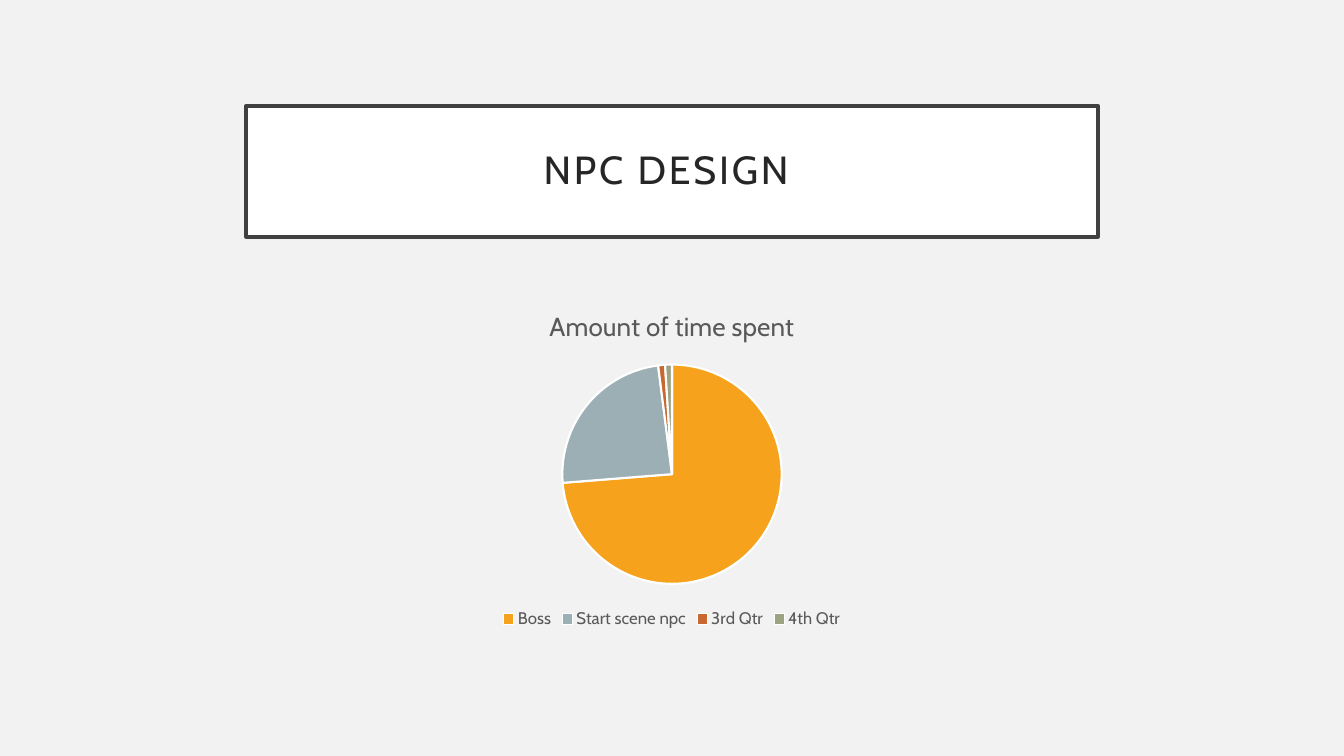
from typing import NamedTuple

from pptx import Presentation
from pptx.chart.data import CategoryChartData as ChartData
from pptx.dml.color import RGBColor
from pptx.enum.chart import XL_CHART_TYPE as Kind, XL_LEGEND_POSITION as Side
from pptx.enum.text import MSO_ANCHOR as Anchor, MSO_AUTO_SIZE as Fit, PP_ALIGN as Align
from pptx.util import Inches, Pt

FACE = "Cabin"
GREY = "595959"
LEFT, WIDTH = Inches(2.44), Inches(8.45)


class Slice(NamedTuple):
    name: str
    value: int
    color: str


SLICES = [
    Slice("Boss", 73, "F6A21D"),
    Slice("Start scene npc", 24, "9BAFB5"),
    Slice("3rd Qtr", 1, "C96731"),
    Slice("4th Qtr", 1, "9CA383"),
]


def paint(fill, color: str) -> None:
    fill.solid()
    fill.fore_color.rgb = RGBColor.from_string(color)


def style(font, size: float, color: str) -> None:
    font.name, font.size, font.bold = FACE, Pt(size), False
    paint(font.fill, color)


def add_title(slide, text: str) -> None:
    box = slide.shapes.title
    box.left, box.top, box.width, box.height = LEFT, Inches(1.05), WIDTH, Inches(1.3)
    paint(box.fill, "FFFFFF")
    paint(box.line.fill, "404040")
    box.line.width = Pt(2.5)

    frame = box.text_frame
    frame.text = text
    frame.word_wrap = True
    frame.auto_size = Fit.NONE
    frame.vertical_anchor = Anchor.MIDDLE
    frame.margin_left = frame.margin_right = Inches(0.2)
    frame.margin_top = frame.margin_bottom = Inches(0.2)

    para = frame.paragraphs[0]
    para.alignment = Align.CENTER
    para.line_spacing = 0.9
    run = para.runs[0]
    style(run.font, 28, "262626")
    # Letter spacing of 2 points
    run._r.get_or_add_rPr().set("spc", "200")


def add_pie(slide, name: str, slices: list[Slice]) -> None:
    data = ChartData()
    data.categories = [part.name for part in slices]
    data.add_series(name, [part.value for part in slices])
    chart = slide.shapes.add_chart(
        Kind.PIE, LEFT, Inches(2.89), WIDTH, Inches(3.39), data).chart
    style(chart.font, 10, "000000")

    # Heading and legend
    chart.has_title = True
    head = chart.chart_title
    head.include_in_layout = False
    head.text_frame.text = name
    style(head.text_frame.paragraphs[0].runs[0].font, 18.6, GREY)
    chart.has_legend = True
    chart.legend.position = Side.BOTTOM
    chart.legend.include_in_layout = False
    style(chart.legend.font, 12, GREY)

    # Slices
    plot = chart.plots[0]
    plot.vary_by_categories = True
    for i, part in enumerate(slices):
        look = plot.series[0].points[i].format
        paint(look.fill, part.color)
        paint(look.line.fill, "FFFFFF")
        look.line.width = Pt(1.5)


# Slide
deck = Presentation()
deck.slide_width, deck.slide_height = Inches(13.33), Inches(7.5)
slide = deck.slides.add_slide(deck.slide_layouts.get_by_name("Title Only"))
paint(slide.background.fill, "F2F2F2")

add_title(slide, "NPC DESIGN ")
add_pie(slide, "Amount of time spent", SLICES)

deck.save("out.pptx")
